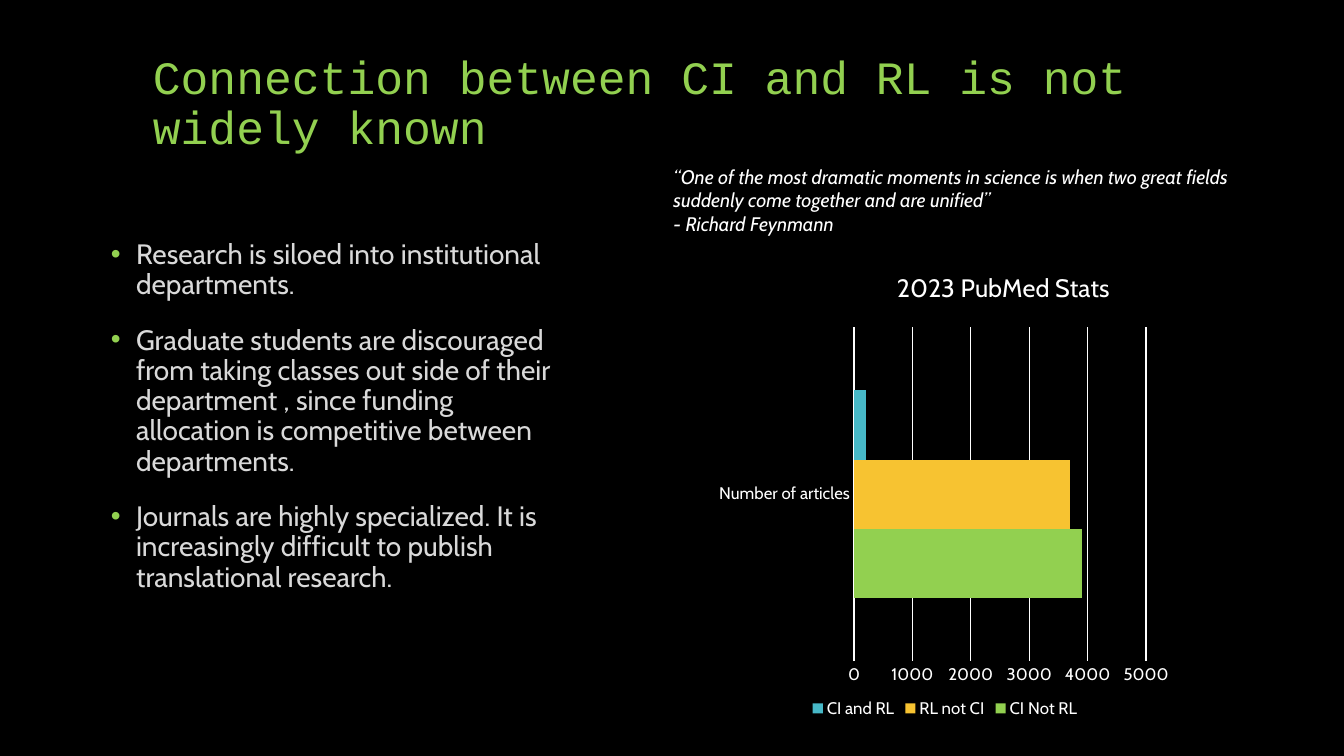
"""Build a slide on why the link between CI and RL is not widely known."""
from dataclasses import dataclass

from lxml.etree import SubElement, Element
from pptx import Presentation
from pptx.chart.data import CategoryChartData
from pptx.dml.color import RGBColor
from pptx.enum.chart import XL_CHART_TYPE, XL_LEGEND_POSITION, XL_TICK_MARK
from pptx.enum.text import MSO_ANCHOR, MSO_AUTO_SIZE, PP_ALIGN
from pptx.oxml.ns import qn
from pptx.util import Pt

TITLE = "Connection between CI and RL is not widely known"
POINTS = [
    "Research is siloed into institutional departments.",
    "Graduate students are discouraged from taking classes out side of their "
    "department , since funding allocation is competitive between departments.",
    "Journals are highly specialized. It is increasingly difficult to publish "
    "translational research.",
]
QUOTE = [
    "“One of the most dramatic moments in science is when two great fields "
    "suddenly come together and are unified”",
    "- Richard Feynmann",
]
STATS = "2023 PubMed Stats"
GROUPS = ["Number of articles"]
SERIES = [("CI Not RL", 3900, "92D050"), ("RL not CI", 3700, "F7C331"),
          ("CI and RL", 200, "47B8C7")]

SCALE = 9525
SIZE = (1280, 720)
BOXES = {
    "title": (136, 32, 960, 120),
    "body": (96, 224, 456, 448),
    "quote": (632, 152, 568, 78),
    "chart": (672, 240, 456, 448),
}
INDENT = 24
PLOT = {"x": 0.31, "y": 0.16, "w": 0.61, "h": 0.71}
HEAD = {"x": 0.39, "y": 0.03}


@dataclass(frozen=True)
class Theme:
    """Hold the colours, fonts and type sizes."""
    back: str = "000000"
    green: str = "92D050"
    grey: str = "D9D9D9"
    white: str = "FFFFFF"
    sans: str = "Cabin"
    mono: str = "Courier New"
    title: float = 33.1
    body: int = 20
    quote: int = 14
    head: int = 18
    label: int = 12
    line: float = 0.75


THEME = Theme()


def apply(item, **values):
    """Set each named value on the item."""
    for name, value in values.items():
        setattr(item, name, value)


def style(font, size, color, name=THEME.sans, **values):
    """Format a font."""
    apply(font, size=Pt(size), name=name, **values)
    font.color.rgb = RGBColor.from_string(color)


def place(box):
    """Turn a box in px into EMU."""
    return [n * SCALE for n in BOXES[box]]


def move(shape, box):
    """Put a shape in its box."""
    apply(shape, **dict(zip(("left", "top", "width", "height"), place(box))))


def write(frame, lines, look, para=None, mark=False, gap=0):
    """Fill a text frame with one paragraph per line."""
    for i, text in enumerate(lines):
        p = frame.add_paragraph() if i else frame.paragraphs[0]
        if mark:
            bullet(p)
        apply(p, space_before=Pt(gap if i else 0), **(para or {}))
        run = p.add_run()
        run.text = text
        style(run.font, **look)


def bullet(p):
    """Give a paragraph a green bullet and a hanging indent."""
    props = p._p.get_or_add_pPr()
    props.set("marL", str(INDENT * SCALE))
    props.set("indent", str(-INDENT * SCALE))
    tint = SubElement(props, qn("a:buClr"))
    SubElement(tint, qn("a:srgbClr"), val=THEME.green)
    SubElement(props, qn("a:buFont"), typeface="Arial")
    SubElement(props, qn("a:buChar"), char="•")


def layout(parent, spot, sizes, inner=False):
    """Fix the place of a chart part."""
    for old in parent.findall(qn("c:layout")):
        parent.remove(old)
    outer = Element(qn("c:layout"))
    manual = SubElement(outer, qn("c:manualLayout"))
    if inner:
        SubElement(manual, qn("c:layoutTarget"), val="inner")
    for key in "xy":
        SubElement(manual, qn(f"c:{key}Mode"), val="edge")
    for key, value in sizes.items():
        SubElement(manual, qn(f"c:{key}"), val=str(value))
    parent.insert(spot, outer)


def draw(slide):
    """Add the bar chart."""
    data = CategoryChartData()
    data.categories = GROUPS
    for name, value, _ in SERIES:
        data.add_series(name, [value])
    chart = slide.shapes.add_chart(
        XL_CHART_TYPE.BAR_CLUSTERED, *place("chart"), data).chart
    style(chart.font, THEME.label, THEME.white)
    write(chart.chart_title.text_frame, [STATS],
          dict(size=THEME.head, color=THEME.white, bold=False))
    layout(chart.chart_title.element, 1, HEAD)
    layout(chart.element.find(".//" + qn("c:plotArea")), 0, PLOT, True)

    plot = chart.plots[0]
    apply(plot, gap_width=182, overlap=0, vary_by_categories=False)
    for bar, (_, _, color) in zip(plot.series, SERIES):
        bar.format.fill.solid()
        bar.format.fill.fore_color.rgb = RGBColor.from_string(color)

    chart.has_legend = True
    apply(chart.legend, position=XL_LEGEND_POSITION.BOTTOM,
          include_in_layout=False)
    style(chart.legend.font, THEME.label, THEME.white)

    cats, vals = chart.category_axis, chart.value_axis
    for axis in (cats, vals):
        apply(axis, major_tick_mark=XL_TICK_MARK.NONE,
              minor_tick_mark=XL_TICK_MARK.NONE)
        style(axis.tick_labels.font, THEME.label, THEME.white)
    apply(vals, minimum_scale=0, maximum_scale=5000, major_unit=1000,
          has_major_gridlines=True)
    vals.format.line.fill.background()
    for line in (cats.format.line, vals.major_gridlines.format.line):
        line.width = Pt(THEME.line)
        line.color.rgb = RGBColor.from_string(THEME.white)


def main():
    """Build and save the slide."""
    deck = Presentation()
    deck.slide_width, deck.slide_height = [n * SCALE for n in SIZE]
    slide = deck.slides.add_slide(deck.slide_layouts[1])
    slide.background.fill.solid()
    slide.background.fill.fore_color.rgb = RGBColor.from_string(THEME.back)

    title, body = slide.placeholders
    quote = slide.shapes.add_textbox(*place("quote"))
    move(title, "title")
    move(body, "body")
    for shape, anchor in ((title, MSO_ANCHOR.BOTTOM), (body, MSO_ANCHOR.TOP),
                          (quote, MSO_ANCHOR.TOP)):
        apply(shape.text_frame, word_wrap=True, vertical_anchor=anchor,
              auto_size=MSO_AUTO_SIZE.NONE)

    para = dict(line_spacing=0.9, alignment=PP_ALIGN.LEFT)
    write(title.text_frame, [TITLE],
          dict(size=THEME.title, color=THEME.green, name=THEME.mono), para)
    write(body.text_frame, POINTS,
          dict(size=THEME.body, color=THEME.grey), para, mark=True, gap=18)
    write(quote.text_frame, QUOTE,
          dict(size=THEME.quote, color=THEME.white, italic=True))
    draw(slide)
    deck.save("out.pptx")


if __name__ == "__main__":
    main()
